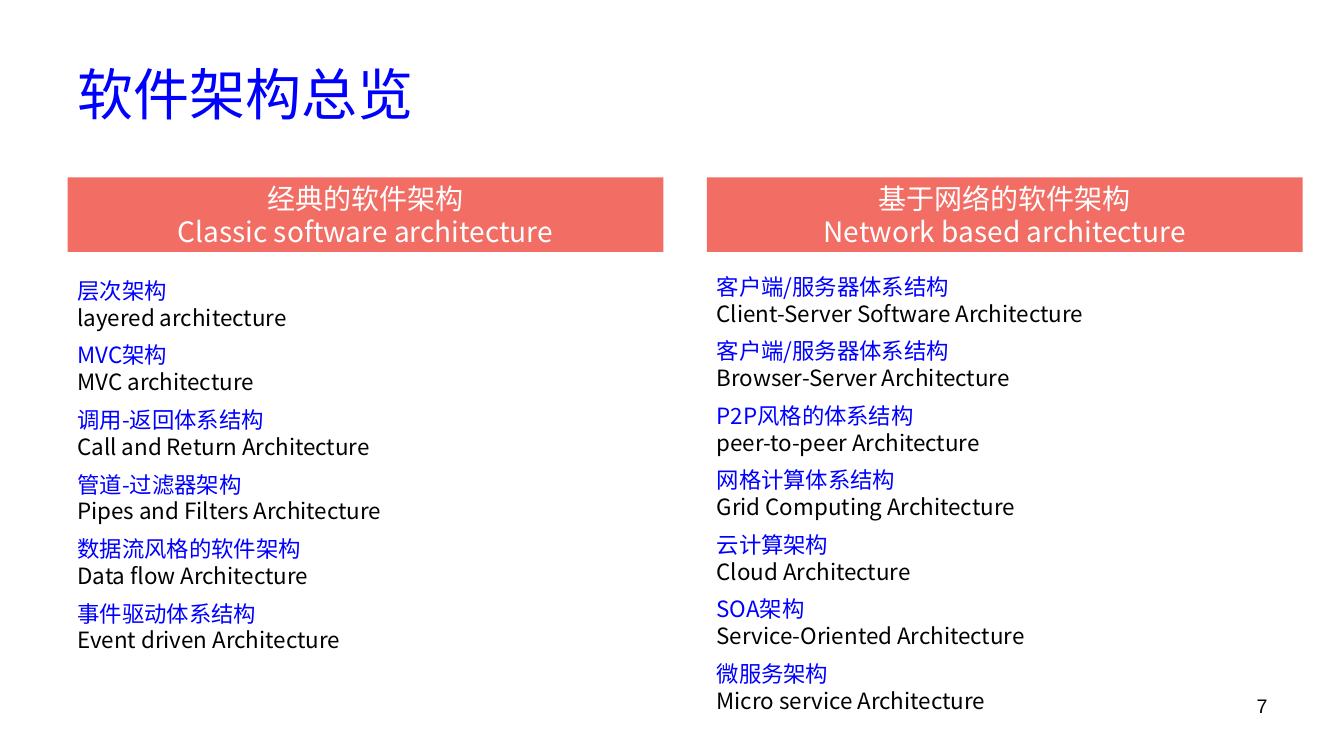
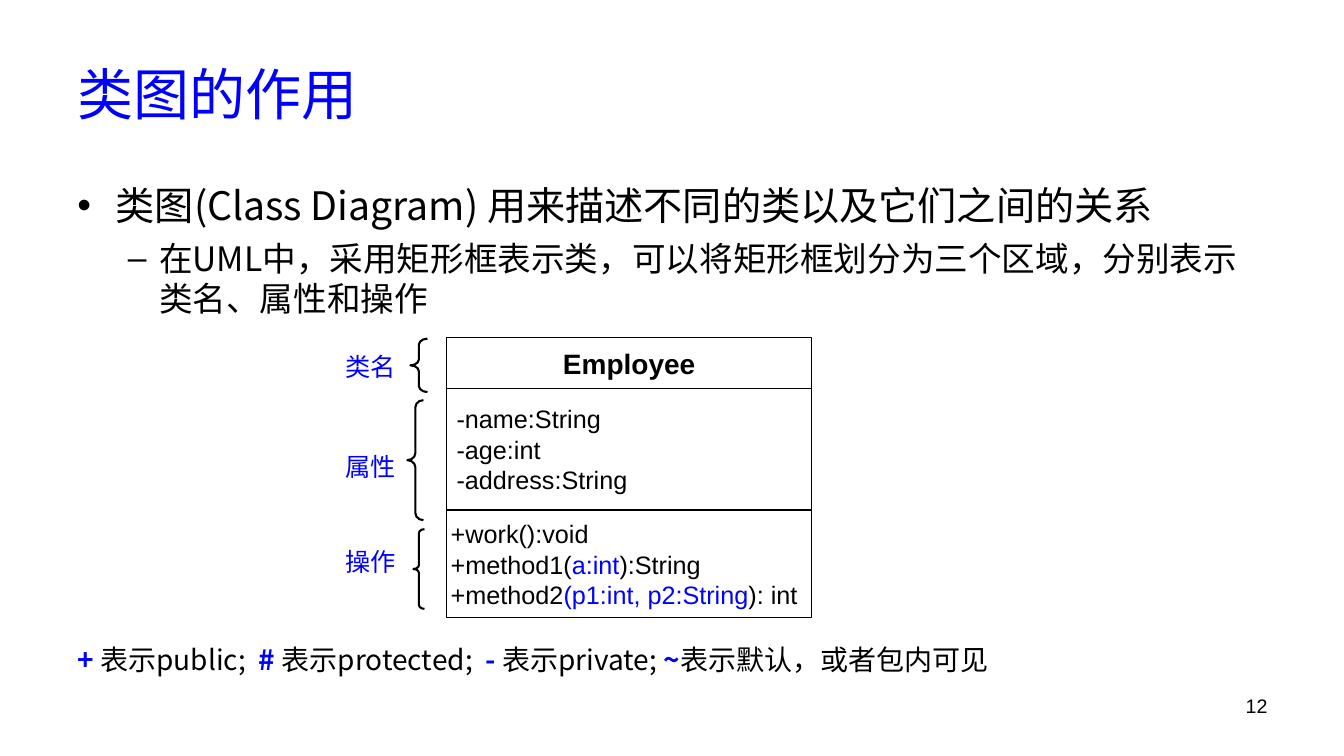
from lxml import etree
from pptx import Presentation
from pptx.dml.color import RGBColor
from pptx.enum.shapes import MSO_SHAPE
from pptx.enum.text import MSO_ANCHOR, PP_ALIGN
from pptx.oxml.ns import qn
from pptx.util import Inches, Pt

RECTANGLE = MSO_SHAPE.RECTANGLE
LEFT_BRACE = MSO_SHAPE.LEFT_BRACE
TOP, MIDDLE = MSO_ANCHOR.TOP, MSO_ANCHOR.MIDDLE
LEFT, CENTER, RIGHT = PP_ALIGN.LEFT, PP_ALIGN.CENTER, PP_ALIGN.RIGHT

BLUE = RGBColor(0x00, 0x00, 0xFF)
BLACK = RGBColor(0x00, 0x00, 0x00)
WHITE = RGBColor(0xFF, 0xFF, 0xFF)
CORAL = RGBColor(0xF2, 0x6D, 0x64)
CJK_FONT = "Noto Sans CJK SC"
LATIN_FONT = "Arial"
MARGIN = 0.67
TITLE_ONLY = 5


def write_text(shape, paragraphs, size=16, font=CJK_FONT, color=BLACK, bold=False,
               align=LEFT, anchor=TOP, wrap=True, insets=(0.1, 0.05, 0.1, 0.05)):
    frame = shape.text_frame
    frame.word_wrap = wrap
    frame.vertical_anchor = anchor
    frame.margin_left, frame.margin_top, frame.margin_right, frame.margin_bottom = map(Inches, insets)
    for index, runs in enumerate(paragraphs):
        paragraph = frame.add_paragraph() if index else frame.paragraphs[0]
        paragraph.alignment = align
        for text, *style in runs:
            run = paragraph.add_run()
            run.text = text
            run.font.size = Pt(size)
            run.font.name = font
            run.font.color.rgb = style[0] if style else color
            run.font.bold = style[1] if len(style) > 1 else bold
            latin = run.font._element.find(qn("a:latin"))
            east_asian = etree.Element(qn("a:ea"), typeface=font)
            latin.addnext(east_asian)
    return frame


def add_box(slide, left, top, width, height, kind=None, fill=None, line=None, line_width=0.75):
    place = [Inches(value) for value in (left, top, width, height)]
    if kind is None:
        return slide.shapes.add_textbox(*place)
    shape = slide.shapes.add_shape(kind, *place)
    shape.shadow.inherit = False
    if fill is None:
        shape.fill.background()
    else:
        shape.fill.solid()
        shape.fill.fore_color.rgb = fill
    if line is None:
        shape.line.fill.background()
    else:
        shape.line.color.rgb = line
        shape.line.width = Pt(line_width)
    return shape


presentation = Presentation()
presentation.slide_width = Inches(13.33)
presentation.slide_height = Inches(7.5)

slides = []
for title_text, number in [("软件架构总览", "7"), ("类图的作用", "12")]:
    slide = presentation.slides.add_slide(presentation.slide_layouts[TITLE_ONLY])
    title = slide.shapes.title
    title.left, title.top, title.width, title.height = map(Inches, (MARGIN, 0.3, 12, 1.25))
    write_text(title, [[(title_text,)]], size=40, color=BLUE, anchor=MIDDLE)
    write_text(add_box(slide, 9.56, 6.83, 3.11, 0.52), [[(number,)]],
               size=14, font=LATIN_FONT, align=RIGHT)
    slides.append(slide)
overview_slide, class_slide = slides

COLUMN_WIDTH = 5.91
ROW_HEIGHT = 0.64
columns = [
    (MARGIN, 2.7, "经典的软件架构", "Classic software architecture", [
        ("层次架构", "layered architecture"),
        ("MVC架构", "MVC architecture"),
        ("调用-返回体系结构", "Call and Return Architecture"),
        ("管道-过滤器架构", "Pipes and Filters Architecture"),
        ("数据流风格的软件架构", "Data flow Architecture"),
        ("事件驱动体系结构", "Event driven Architecture"),
    ]),
    (7.01, 2.66, "基于网络的软件架构", "Network based architecture", [
        ("客户端/服务器体系结构", "Client-Server Software Architecture"),
        ("客户端/服务器体系结构", "Browser-Server Architecture"),
        ("P2P风格的体系结构", "peer-to-peer Architecture"),
        ("网格计算体系结构", "Grid Computing Architecture"),
        ("云计算架构", "Cloud Architecture"),
        ("SOA架构", "Service-Oriented Architecture"),
        ("微服务架构", "Micro service Architecture"),
    ]),
]
for left, first_top, chinese_heading, english_heading, styles in columns:
    band = add_box(overview_slide, left, 1.76, COLUMN_WIDTH, 0.74, RECTANGLE, fill=CORAL)
    write_text(band, [[(chinese_heading,)], [(english_heading,)]], size=20, color=WHITE,
               align=CENTER, anchor=MIDDLE, insets=(0, 0, 0, 0))
    for row, (chinese_name, english_name) in enumerate(styles):
        entry = add_box(overview_slide, left, first_top + row * ROW_HEIGHT, COLUMN_WIDTH, ROW_HEIGHT)
        write_text(entry, [[(chinese_name, BLUE)], [(english_name,)]])

body = write_text(add_box(class_slide, MARGIN, 1.75, 12, 1.5), [
    [("类图(Class Diagram) 用来描述不同的类以及它们之间的关系",)],
    [("在UML中，采用矩形框表示类，可以将矩形框划分为三个区域，分别表示类名、属性和操作",)],
], size=28)
bullets = [("•", 0.38, 0.38, 28), ("–", 0.81, 0.31, 24)]
for level, (paragraph, (bullet, indent, hanging, size)) in enumerate(zip(body.paragraphs, bullets)):
    properties = paragraph._p.get_or_add_pPr()
    properties.set("marL", str(Inches(indent)))
    properties.set("indent", str(-Inches(hanging)))
    etree.SubElement(properties, qn("a:buFont"), typeface=LATIN_FONT)
    etree.SubElement(properties, qn("a:buChar"), char=bullet)
    paragraph.level = level
    paragraph.runs[0].font.size = Pt(size)
body.paragraphs[1].space_before = Pt(6.7)

CLASS_LEFT, CLASS_WIDTH = 4.43, 3.62
name_box = add_box(class_slide, CLASS_LEFT, 3.35, CLASS_WIDTH, 0.51, RECTANGLE, WHITE, BLACK)
write_text(name_box, [[("Employee",)]], size=20, font=LATIN_FONT, bold=True,
           align=CENTER, anchor=MIDDLE, wrap=False)
attribute_box = add_box(class_slide, CLASS_LEFT, 3.85, CLASS_WIDTH, 1.21, RECTANGLE, WHITE, BLACK)
write_text(attribute_box, [[("-name:String",)], [("-age:int",)], [("-address:String",)]],
           size=18, font=LATIN_FONT, anchor=MIDDLE, wrap=False)
operation_box = add_box(class_slide, CLASS_LEFT, 5.06, CLASS_WIDTH, 1.07, RECTANGLE, WHITE, BLACK)
write_text(operation_box, [
    [("+work():void",)],
    [("+method1(",), ("a:int", BLUE), ("):String",)],
    [("+method2",), ("(p1:int, p2:String", BLUE), ("): int",)],
], size=18, font=LATIN_FONT, anchor=MIDDLE, wrap=False, insets=(0.04, 0.05, 0.1, 0.05))

regions = [
    ("类名", 3.44, (4.07, 3.36, 0.17, 0.53), 0.35),
    ("属性", 4.43, (4.04, 3.97, 0.16, 1.19), 0.44),
    ("操作", 5.37, (4.1, 5.25, 0.11, 0.79), 0.35),
]
for label, label_top, brace_place, curve in regions:
    write_text(add_box(class_slide, 3.28, label_top, 0.79, 0.4), [[(label,)]],
               size=18, color=BLUE, align=CENTER)
    brace = add_box(class_slide, *brace_place, LEFT_BRACE, line=BLACK, line_width=1.5)
    brace.adjustments[0] = curve

write_text(add_box(class_slide, MARGIN, 6.32, 10.35, 0.44), [[
    ("+ ", BLUE, True), ("表示public;  ",),
    ("# ", BLUE, True), ("表示protected;  ",),
    ("- ", BLUE, True), ("表示private; ",),
    ("~", BLUE, True), ("表示默认，或者包内可见",),
]], size=20)

presentation.save("out.pptx")
